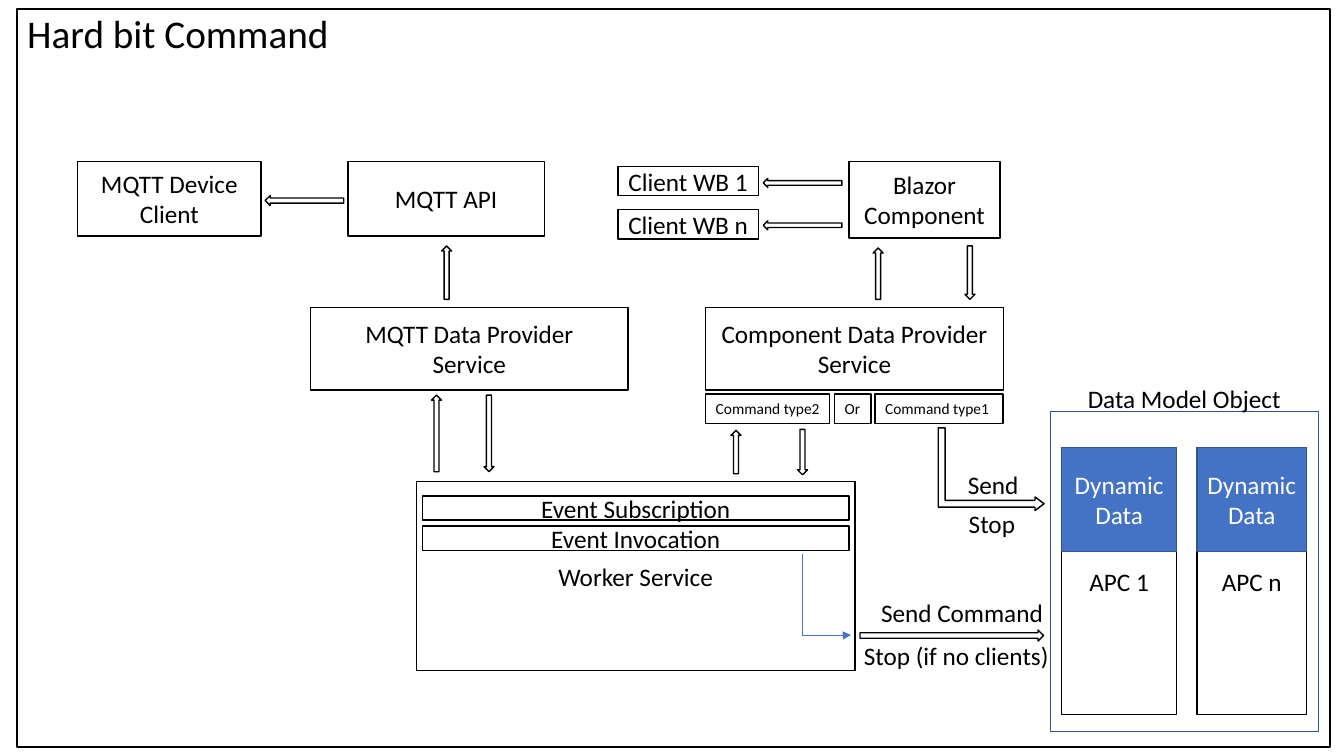
import pptx
import pptx.util
import pptx.dml.color
import pptx.enum.shapes
import pptx.enum.text
import pptx.oxml
import pptx.oxml.ns
from lxml import etree

Inches, Pt = pptx.util.Inches, pptx.util.Pt
RGBColor = pptx.dml.color.RGBColor
Preset = pptx.enum.shapes.MSO_SHAPE
Align = pptx.enum.text.PP_ALIGN
Anchor = pptx.enum.text.MSO_ANCHOR
qn = pptx.oxml.ns.qn

BLACK = RGBColor(0x00, 0x00, 0x00)
WHITE = RGBColor(0xFF, 0xFF, 0xFF)
BLUE = RGBColor(0x44, 0x72, 0xC4)
NAVY = RGBColor(0x32, 0x54, 0x91)

HEADING = "Hard bit Command"
HEADING_BOX = (0.17, 0.09, 13.02, 7.32)

SERVICES = [
    ("MQTT Device\nClient", (0.77, 1.6, 1.82, 0.74)),
    ("MQTT API", (3.45, 1.6, 1.95, 0.74)),
    ("MQTT Data Provider\nService", (3.08, 3.05, 3.15, 0.82)),
    ("Component Data Provider\nService", (7, 3.05, 2.95, 0.82)),
    ("Blazor Component", (8.42, 1.6, 1.5, 0.76)),
]
CLIENTS = ["Client WB 1", "Client WB n"]
COMMANDS = [("Command type2", 7, 1.23), ("Or", 8.28, 0.36), ("Command type1", 8.68, 1.27)]
WORKER = ("Worker Service", (4.13, 4.78, 4.35, 1.87))
EVENTS = ["Event Subscription", "Event Invocation"]
APCS = [("APC 1", 10.53, 1.14), ("APC n", 11.87, 1.09)]
DYNAMIC_DATA = "Dynamic Data"
DATA_MODEL_BOX = (10.42, 4.08, 2.66, 3.18)
LABELS = [
    ("Data Model Object", (10.69, 3.75, 2.18, 0.4)),
    ("Send", (9.5, 4.61, 0.81, 0.4)),
    ("Stop", (9.51, 4.99, 1.36, 0.4)),
    ("Send Command", (8.64, 5.88, 1.89, 0.4)),
    ("Stop (if no clients)", (8.47, 6.3, 2.06, 0.4)),
]
ARROWS = [
    (Preset.LEFT_ARROW, (2.63, 1.94, 0.78, 0.1)),
    (Preset.LEFT_ARROW, (7.57, 1.77, 0.78, 0.09)),
    (Preset.LEFT_ARROW, (7.57, 2.19, 0.78, 0.09)),
    (Preset.RIGHT_ARROW, (8.53, 6.25, 1.82, 0.11)),
    (Preset.UP_ARROW, (4.38, 2.44, 0.1, 0.53)),
    (Preset.UP_ARROW, (4.28, 3.92, 0.1, 0.76)),
    (Preset.DOWN_ARROW, (4.8, 3.92, 0.1, 0.76)),
    (Preset.UP_ARROW, (8.66, 2.46, 0.1, 0.51)),
    (Preset.DOWN_ARROW, (9.57, 2.44, 0.1, 0.53)),
    (Preset.UP_ARROW, (7.25, 4.27, 0.1, 0.43)),
    (Preset.DOWN_ARROW, (7.91, 4.26, 0.1, 0.45)),
]
SEND_STOP_BOX = (9.42, 4.13, 0.82, 1.05)
SEND_STOP_BEND = (0.083, 0.082, 0.11)
INVOCATION_BOX = (7.8, 5.66, 0.8, 0.48)

deck = pptx.Presentation()
deck.slide_width, deck.slide_height = Inches(13.33), Inches(7.5)
slide = deck.slides.add_slide(deck.slide_layouts[1])
unused_title = slide.shapes.title.element
unused_title.getparent().remove(unused_title)


def lengths(box):
    return [Inches(value) for value in box]


def write(part, text, size=18, color=BLACK, align=Align.CENTER, anchor=Anchor.MIDDLE, wrap=True):
    frame = part.text_frame
    frame.text = text
    frame.word_wrap, frame.vertical_anchor = wrap, anchor
    for paragraph in frame.paragraphs:
        paragraph.alignment = align
        font = {"name": "Calibri", "size": Pt(size)}
        for key, value in font.items():
            setattr(paragraph.font, key, value)
        paragraph.font.color.rgb = color


def outline(part, color, width=1):
    part.line.color.rgb = color
    part.line.width = Pt(width)


def draw(preset, box, fill=WHITE, edge=BLACK):
    part = slide.shapes.add_shape(preset, *lengths(box))
    part.shadow.inherit = False
    outline(part, edge)
    if fill is None:
        part.fill.background()
    else:
        part.fill.solid()
        part.fill.fore_color.rgb = fill
    return part


heading = slide.placeholders[1]
for side, value in zip(("left", "top", "width", "height"), lengths(HEADING_BOX)):
    setattr(heading, side, value)
outline(heading, BLACK)
write(heading, HEADING, 28, align=Align.LEFT, anchor=Anchor.TOP)
opening = heading.text_frame.paragraphs[0]
opening.line_spacing, opening.space_before = 0.9, Pt(10)
bullet = opening._p.get_or_add_pPr()
bullet.set("marL", "0")
bullet.set("indent", "0")
bullet.insert_element_before(etree.Element(qn("a:buNone")), "a:tabLst", "a:defRPr", "a:extLst")

for name, left, width in APCS:
    write(draw(Preset.RECTANGLE, (left, 4.44, width, 2.65)), name)
    write(draw(Preset.RECTANGLE, (left, 4.44, width, 1.03), BLUE, NAVY), DYNAMIC_DATA, color=WHITE)
draw(Preset.FLOWCHART_PROCESS, DATA_MODEL_BOX, None, NAVY)

worker_name, worker_box = WORKER
write(draw(Preset.RECTANGLE, worker_box), worker_name)
for row, event in enumerate(EVENTS):
    write(draw(Preset.RECTANGLE, (4.19, 4.92 + 0.3 * row, 4.23, 0.24)), event)

for name, box in SERVICES:
    write(draw(Preset.FLOWCHART_PROCESS, box), name)
for row, client in enumerate(CLIENTS):
    write(draw(Preset.FLOWCHART_PROCESS, (6.13, 1.65 + 0.43 * row, 1.39, 0.29)), client, wrap=False)
for name, left, width in COMMANDS:
    write(draw(Preset.RECTANGLE, (left, 3.91, width, 0.29)), name, 11,
          align=Align.LEFT, anchor=Anchor.TOP, wrap=False)

for preset, box in ARROWS:
    draw(preset, box)
send_stop = draw(Preset.BENT_UP_ARROW, SEND_STOP_BOX)
send_stop.rotation = 90
for index, value in enumerate(SEND_STOP_BEND):
    send_stop.adjustments[index] = value

for text, box in LABELS:
    write(slide.shapes.add_textbox(*lengths(box)), text, align=Align.LEFT, anchor=Anchor.TOP)

left, top, width, height = INVOCATION_BOX
invocation = slide.shapes.add_connector(
    pptx.enum.shapes.MSO_CONNECTOR.ELBOW, *lengths((left, top, left + width, top + height)))
outline(invocation, BLUE, 0.5)
properties = invocation.element.spPr
turn = properties.find(qn("a:xfrm"))
turn.set("rot", str(270 * 60000))
turn.set("flipH", "1")
bend = properties.find(qn("a:prstGeom")).get_or_add_avLst()
etree.SubElement(bend, qn("a:gd"), name="adj1", fmla="val 100500")
etree.SubElement(properties.find(qn("a:ln")), qn("a:tailEnd"), type="triangle")
etree.SubElement(properties, qn("a:effectLst"))

deck.save("out.pptx")
